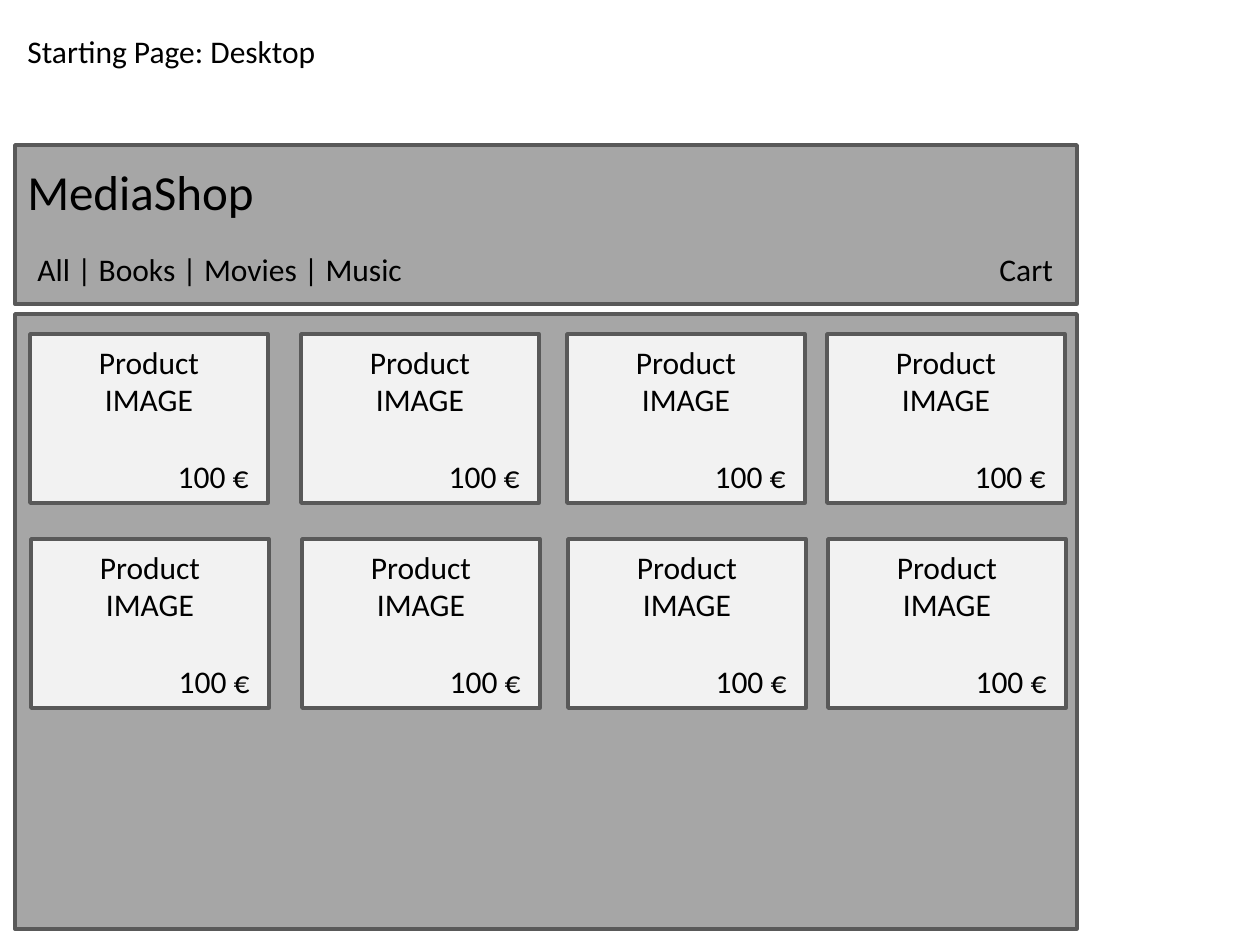
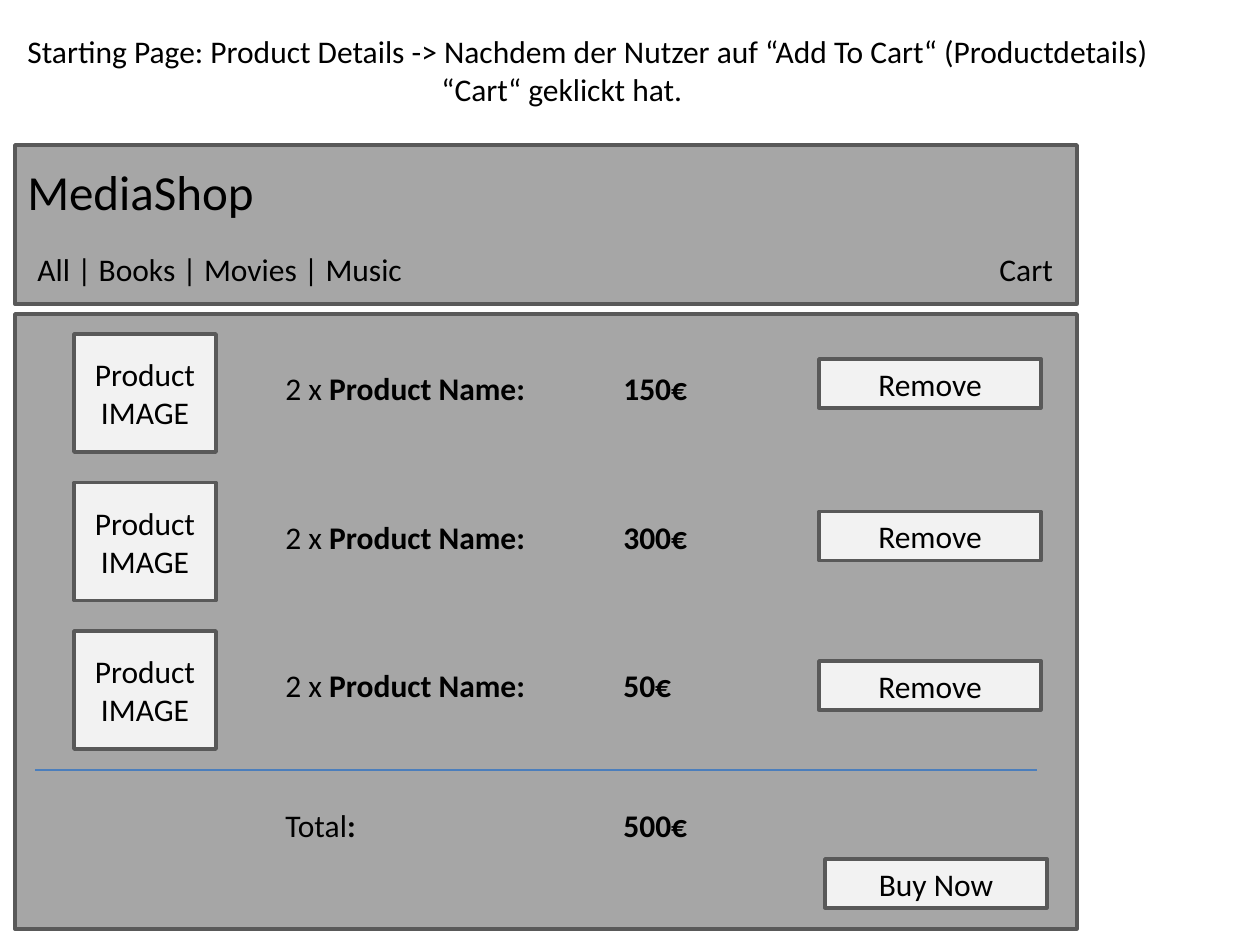
from lxml import etree
from pptx import Presentation
from pptx.dml.color import RGBColor
from pptx.enum.shapes import MSO_CONNECTOR, MSO_SHAPE
from pptx.enum.text import MSO_ANCHOR, MSO_AUTO_SIZE, PP_ALIGN
from pptx.oxml.ns import qn
from pptx.util import Emu, Pt

RECTANGLE = MSO_SHAPE.RECTANGLE
STRAIGHT = MSO_CONNECTOR.STRAIGHT
MIDDLE = MSO_ANCHOR.MIDDLE
GROW = MSO_AUTO_SIZE.SHAPE_TO_FIT_TEXT
LEFT, CENTER, RIGHT = PP_ALIGN.LEFT, PP_ALIGN.CENTER, PP_ALIGN.RIGHT

BLACK = RGBColor(0x00, 0x00, 0x00)
PANEL_GREY = RGBColor(0xA6, 0xA6, 0xA6)
CARD_GREY = RGBColor(0xF2, 0xF2, 0xF2)
BORDER_GREY = RGBColor(0x59, 0x59, 0x59)
RULE_BLUE = RGBColor(0x4B, 0x7E, 0xBC)

FONT = "Calibri"
BODY_SIZE, BRAND_SIZE = 18, 28
LINE_HEIGHT = 50  # pixels of one line's text box
HEADER_BOX = (15, 145, 1062, 159)
CONTENT_BOX = (15, 314, 1062, 615)


def px(pixels):
    return Emu(round(pixels * 914400 / 126))


def style(paragraph, align=LEFT, size=BODY_SIZE):
    paragraph.alignment = align
    paragraph.font.name = FONT
    paragraph.font.size = Pt(size)
    paragraph.font.color.rgb = BLACK


def write(frame, lines, align=LEFT, size=BODY_SIZE):
    """Put one paragraph per line into the frame."""
    for i, line in enumerate(lines):
        paragraph = frame.add_paragraph() if i else frame.paragraphs[0]
        paragraph.text = line
        style(paragraph, align, size)


def add_box(slide, box, fill, lines=()):
    """Bordered rectangle with optional centred lines."""
    shape = slide.shapes.add_shape(RECTANGLE, *map(px, box))
    shape.shadow.inherit = False
    shape.fill.solid()
    shape.fill.fore_color.rgb = fill
    shape.line.color.rgb = BORDER_GREY
    shape.line.width = Pt(2)
    shape.text_frame.vertical_anchor = MIDDLE
    write(shape.text_frame, lines, CENTER)
    return shape.text_frame


def add_text(slide, box, lines=(), size=BODY_SIZE, wrap=False):
    frame = slide.shapes.add_textbox(*map(px, box)).text_frame
    frame.word_wrap = wrap
    frame.auto_size = GROW
    write(frame, lines, size=size)
    return frame


def add_caption(slide, width, lines, second_line_indent=0):
    frame = add_text(slide, (15, 26, width, 38 * len(lines) + 12), lines)
    if second_line_indent:
        properties = frame.paragraphs[1]._p.get_or_add_pPr()
        properties.set("marL", str(px(second_line_indent)))
        properties.set("indent", "0")


def add_shop_frame(slide):
    """Header with name and navigation, above the empty content panel."""
    add_box(slide, HEADER_BOX, PANEL_GREY)
    add_box(slide, CONTENT_BOX, PANEL_GREY)
    x, y, width, _ = HEADER_BOX
    add_text(slide, (x, y + 10, 255, 72), ["MediaShop"], BRAND_SIZE)
    add_text(slide, (x + 10, y + 99, 401, LINE_HEIGHT),
             ["All | Books | Movies | Music"])
    add_text(slide, (x + width - 90, y + 99, 79, LINE_HEIGHT), ["Cart"])


def add_product_card(slide, box):
    frame = add_box(slide, box, CARD_GREY, ["Product", "IMAGE"])
    price = frame.add_paragraph()
    price.text = "100 €"
    style(price, RIGHT)
    price.space_before = Pt(22)
    price._p.get_or_add_pPr().set("marR", str(px(7)))


def add_product_grid(slide, box):
    x, y, _, _ = box
    column_offsets = (15, 286, 552, 812)
    for row in range(2):
        for offset in column_offsets:
            add_product_card(
                slide, (x + offset + row, y + 20 + row * 205, 238, 169))


def add_amount_line(slide, box, parts, amount):
    """Label of (text, bold) parts, then a bold amount at a tab stop."""
    paragraph = add_text(slide, box, wrap=True).paragraphs[0]
    style(paragraph)
    for text, bold in (*parts, ("\t" + amount, True)):
        run = paragraph.add_run()
        run.text = text
        run.font.bold = bold
    properties = paragraph._p.get_or_add_pPr()
    stops = etree.Element(qn("a:tabLst"))
    etree.SubElement(stops, qn("a:tab"), pos=str(px(338)), algn="l")
    # Tab stops come before the default run properties
    properties.find(qn("a:defRPr")).addprevious(stops)


def add_button(slide, x, y, label):
    add_box(slide, (x, y, 222, 49), CARD_GREY, [label])


def add_cart_row(slide, x, y, price, button_drop):
    add_box(slide, (x + 59, y, 142, 118), CARD_GREY, ["Product", "IMAGE"])
    add_amount_line(slide, (x + 258, y + 29, 456, LINE_HEIGHT),
                    (("2 x ", False), ("Product Name:", True)), price)
    add_button(slide, x + 804, y + button_drop, "Remove")


def add_cart(slide, box):
    x, y, _, _ = box
    for row, (price, button_drop) in enumerate(
            (("150€", 25), ("300€", 29), ("50€", 30))):
        add_cart_row(slide, x, y + 20 + row * 148.5, price, button_drop)

    # Rule above the total
    rule = slide.shapes.add_connector(
        STRAIGHT, px(x + 20), px(y + 456), px(x + 1022), px(y + 456))
    rule.line.color.rgb = RULE_BLUE
    rule.line.width = Pt(0.75)
    etree.SubElement(rule._element.spPr, qn("a:effectLst"))

    add_amount_line(slide, (x + 258, y + 486, 525, LINE_HEIGHT),
                    (("Total", False), (":", True)), "500€")
    add_button(slide, x + 810, y + 545, "Buy Now")


def add_page(presentation):
    slide = presentation.slides.add_slide(presentation.slide_layouts[6])
    add_shop_frame(slide)
    return slide


presentation = Presentation()
presentation.slide_width, presentation.slide_height = px(1260), px(945)

# Start page
start_page = add_page(presentation)
add_caption(start_page, 317, ["Starting Page: Desktop"])
add_product_grid(start_page, CONTENT_BOX)

# Cart page
cart_page = add_page(presentation)
add_caption(
    cart_page, 1167,
    ["Starting Page: Product Details -> Nachdem der Nutzer auf "
     "“Add To Cart“ (Productdetails)",
     "“Cart“ geklickt hat."],
    second_line_indent=414)
add_cart(cart_page, CONTENT_BOX)

presentation.save("out.pptx")
